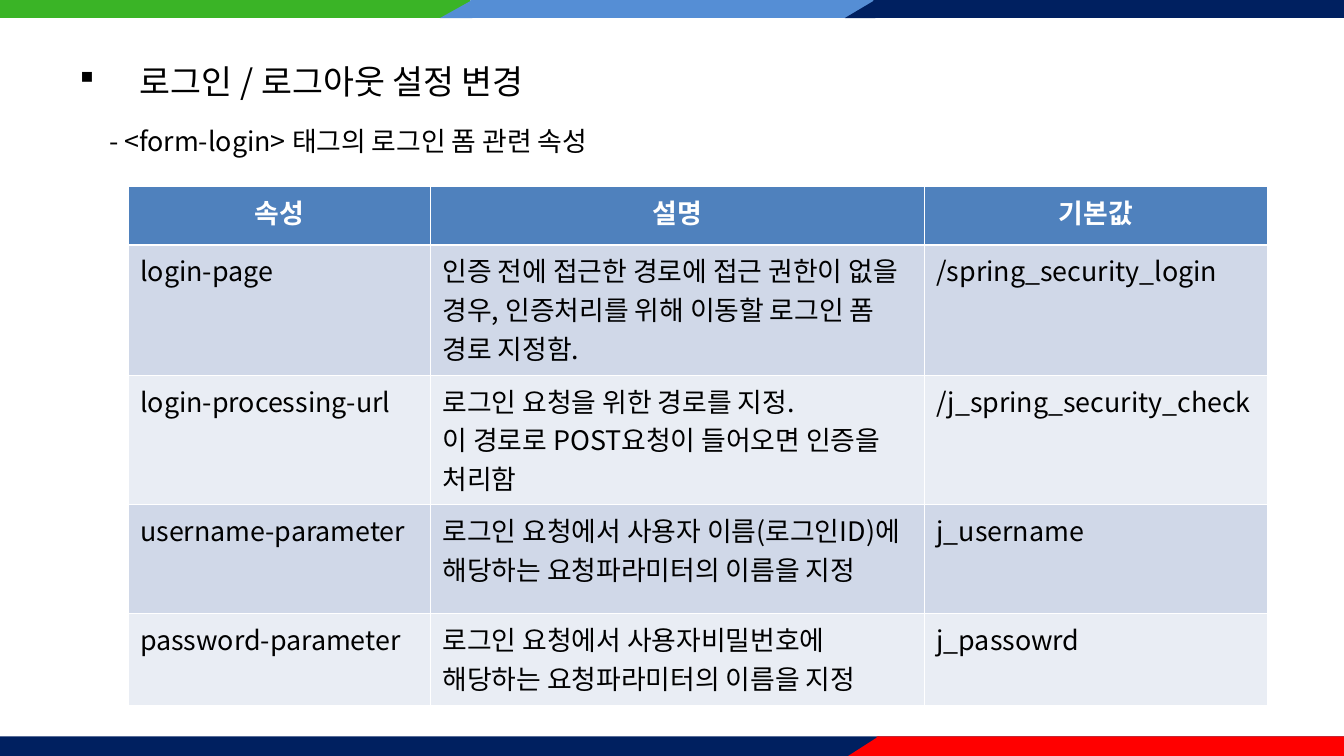
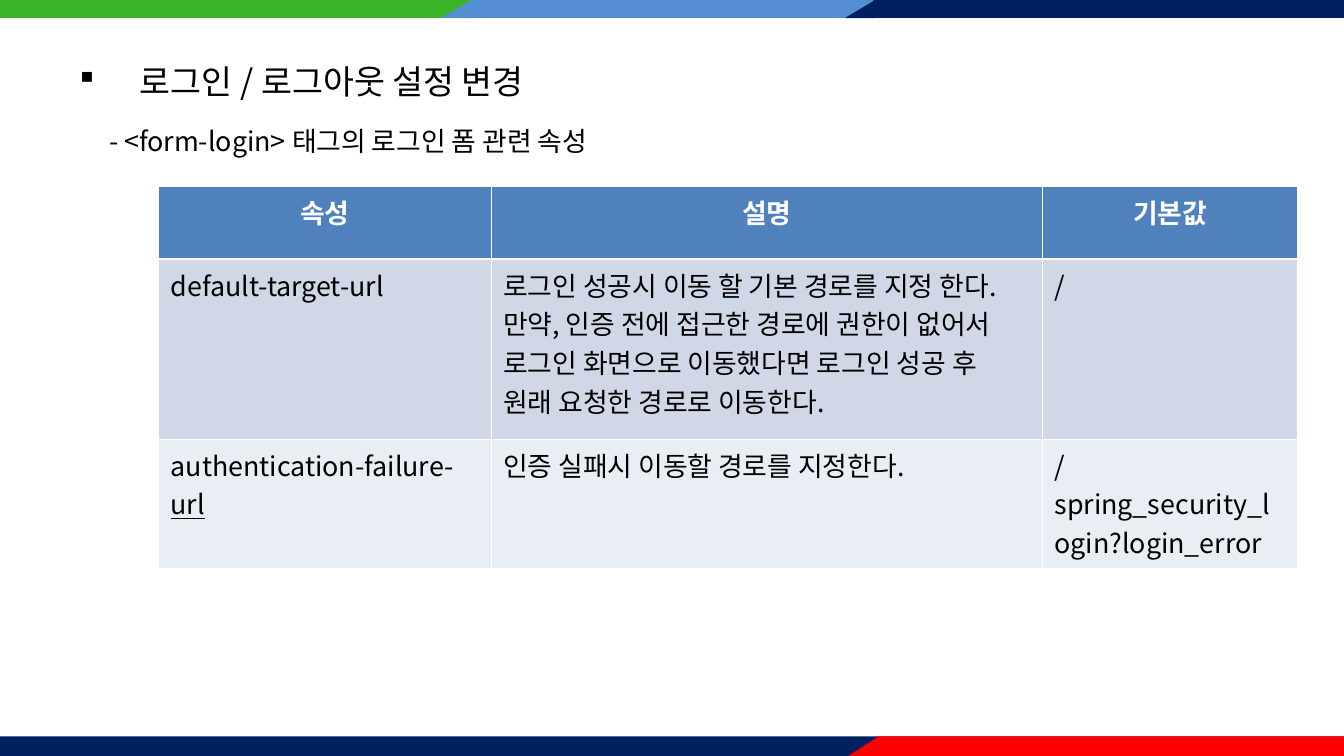
from lxml.etree import SubElement
from pptx import Presentation
from pptx.dml.color import RGBColor
from pptx.enum.shapes import MSO_SHAPE
from pptx.enum.text import PP_ALIGN
from pptx.oxml.ns import qn
from pptx.util import Cm, Pt

WIDTH, HEIGHT = 28.22, 15.88
FONT = "Noto Sans CJK KR"
BLACK, WHITE = "000000", "FFFFFF"
GREEN, BLUE, NAVY, RED = "3AB426", "558ED5", "002060", "FF0000"
HEAD, BANDS = "4F81BD", ("D0D8E8", "E9EDF4")
THIN, THICK = 0.45, 1.47
SEAM = 0.04

TITLE = "로그인 / 로그아웃 설정 변경"
TOPIC = "- <form-login> 태그의 로그인 폼 관련 속성"
LABELS = ["속성", "설명", "기본값"]

# A cell is text, or a list of paragraphs; a paragraph may be a list of runs,
# and a run that is a one-item tuple is underlined.
FORM_ROWS = [
    ["login-page",
     "인증 전에 접근한 경로에 접근 권한이 없을 경우, 인증처리를 위해 이동할 로그인 폼 경로 지정함.",
     "/spring_security_login"],
    ["login-processing-url",
     ["로그인 요청을 위한 경로를 지정.",
      "이 경로로 POST요청이 들어오면 인증을 처리함"],
     "/j_spring_security_check"],
    ["username-parameter",
     "로그인 요청에서 사용자 이름(로그인ID)에 해당하는 요청파라미터의 이름을 지정",
     "j_username"],
    ["password-parameter",
     "로그인 요청에서 사용자비밀번호에 해당하는 요청파라미터의 이름을 지정",
     "j_passowrd"],
]
TARGET_ROWS = [
    ["default-target-url",
     "로그인 성공시 이동 할 기본 경로를 지정 한다. 만약, 인증 전에 접근한 경로에 권한이 없어서 "
     "로그인 화면으로 이동했다면 로그인 성공 후 원래 요청한 경로로 이동한다.",
     "/"],
    [[["authentication-failure-", ("url",)]],
     "인증 실패시 이동할 경로를 지정한다.",
     "/spring_security_login?login_error"],
]


def color(code):
    return RGBColor.from_string(code)


def listed(item):
    return item if isinstance(item, list) else [item]


class Deck:
    """Holds the style and the slide being drawn."""

    def __init__(self):
        self.prs = Presentation()
        self.prs.slide_width = Cm(WIDTH)
        self.prs.slide_height = Cm(HEIGHT)
        self.slide = None

    def start(self):
        """Open a slide with its bands, title and topic."""
        self.slide = self.prs.slides.add_slide(self.prs.slide_layouts[6])
        self.band(NAVY, 0, WIDTH, 15.47, 0.41)
        self.band(RED, 18.41, 9.81, 15.47, 0.41, 0.6)
        self.band(GREEN, 0, 9.88, 0, 0.38)
        self.band(BLUE, 9.88, 9.88, 0, 0.38, 0.64)
        self.band(NAVY, 18.34, 9.88, 0, 0.38, 0.6)
        self.heading()

    def shape(self, kind, code, left, top, width, height):
        shape = self.slide.shapes.add_shape(
            kind, Cm(left), Cm(top), Cm(width), Cm(height))
        shape.shadow.inherit = False
        shape.fill.solid()
        shape.fill.fore_color.rgb = color(code)
        shape.line.fill.background()
        return shape

    def band(self, code, left, width, top, height, slant=0):
        """Draw a bar, with a slanted left end if slant is given."""
        self.shape(MSO_SHAPE.RECTANGLE, code, left, top, width, height)
        if slant:
            end = self.shape(MSO_SHAPE.RIGHT_TRIANGLE, code,
                             left - slant, top, slant + SEAM, height)
            end._element.spPr.xfrm.set("flipH", "1")

    def run(self, para, text, size, code=BLACK, bold=False, under=False):
        run = para.add_run()
        run.text = text
        font = run.font
        font.name, font.size = FONT, Pt(size)
        font.bold, font.underline = bold, under
        font.color.rgb = color(code)
        SubElement(font._element, qn("a:ea"), typeface=FONT)

    def indent(self, para, left, hang=0):
        props = para._p.get_or_add_pPr()
        props.set("marL", str(Cm(left)))
        props.set("indent", str(-Cm(hang)))
        return props

    def heading(self):
        box = self.slide.shapes.add_textbox(
            Cm(1.42), Cm(0.74), Cm(25.83), Cm(13.34))
        frame = box.text_frame
        frame.word_wrap = True
        title = frame.paragraphs[0]
        props = self.indent(title, 1.27, 1.27)
        tint = SubElement(props, qn("a:buClr"))
        SubElement(tint, qn("a:srgbClr"), val=BLACK)
        SubElement(props, qn("a:buFont"), typeface="Wingdings", charset="2")
        SubElement(props, qn("a:buChar"), char="§")
        title.line_spacing = 1.5
        self.run(title, TITLE, 20)
        topic = frame.add_paragraph()
        self.indent(topic, 0.62)
        topic.line_spacing = 1.5
        topic.space_before = Pt(4)
        self.run(topic, TOPIC, 16)

    def border(self, cell, top, bottom):
        props = cell._tc.get_or_add_tcPr()
        for side, width in zip("LRTB", (THIN, THIN, top, bottom)):
            line = SubElement(props, qn("a:ln" + side), w=str(Pt(width)))
            fill = SubElement(line, qn("a:solidFill"))
            SubElement(fill, qn("a:srgbClr"), val=WHITE)

    def cell(self, cell, content, row):
        head = row == 0
        self.border(cell, THICK if row == 1 else THIN, THICK if head else THIN)
        cell.fill.solid()
        cell.fill.fore_color.rgb = color(HEAD if head else BANDS[(row - 1) % 2])
        frame = cell.text_frame
        for at, runs in enumerate(listed(content)):
            para = frame.add_paragraph() if at else frame.paragraphs[0]
            para.alignment = PP_ALIGN.CENTER if head else PP_ALIGN.LEFT
            for part in listed(runs):
                under = isinstance(part, tuple)
                self.run(para, part[0] if under else part, 16,
                         WHITE if head else BLACK, head, under)

    def table(self, left, widths, heights, rows):
        rows = [LABELS] + rows
        table = self.slide.shapes.add_table(
            len(rows), len(widths), Cm(left), Cm(3.92),
            Cm(sum(widths)), Cm(sum(heights))).table
        for col, width in zip(table.columns, widths):
            col.width = Cm(width)
        for at, (row, height) in enumerate(zip(rows, heights)):
            table.rows[at].height = Cm(height)
            for col, content in enumerate(row):
                self.cell(table.cell(at, col), content, at)


def main():
    deck = Deck()
    deck.start()
    deck.table(2.69, (6.35, 10.37, 7.2), (1.22, 2.74, 2.72, 2.29, 1.92), FORM_ROWS)
    deck.start()
    deck.table(3.33, (6.98, 11.58, 5.36), (1.52, 3.78, 2.72), TARGET_ROWS)
    deck.prs.save("out.pptx")


if __name__ == "__main__":
    main()
